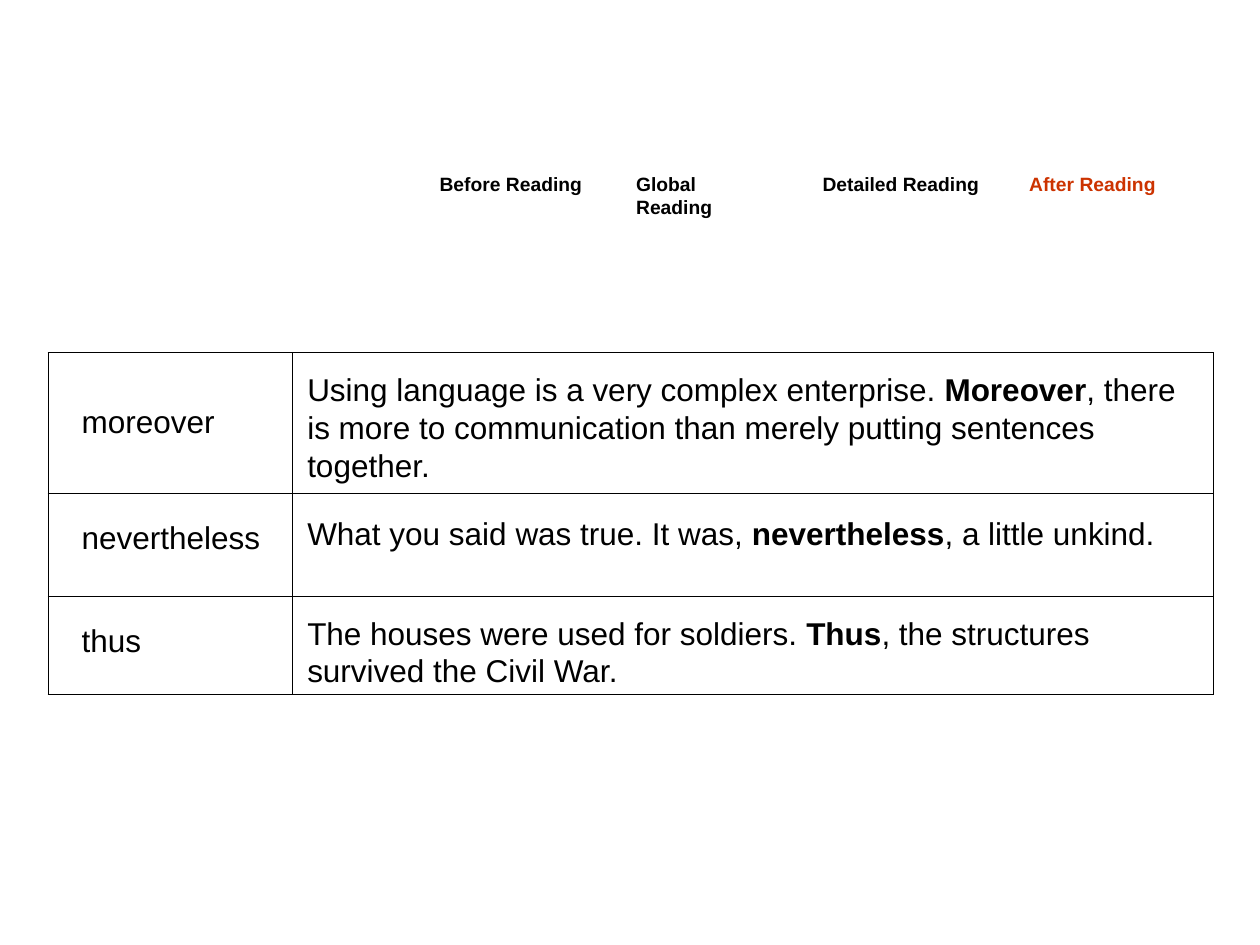
from lxml.etree import SubElement
from pptx import Presentation
from pptx.dml.color import RGBColor
from pptx.oxml.ns import qn
from pptx.util import Inches, Pt

BLACK = RGBColor(0x00, 0x00, 0x00)
ORANGE = RGBColor(0xCC, 0x33, 0x00)

presentation = Presentation()
presentation.slide_width = Inches(10)
presentation.slide_height = Inches(7.5)
slide = presentation.slides.add_slide(presentation.slide_layouts[6])


def from_percent(left, top, width, height):
    """Turn percentages of the slide's width and height into lengths."""
    slide_width, slide_height = presentation.slide_width, presentation.slide_height
    return (int(slide_width * left / 100), int(slide_height * top / 100),
            int(slide_width * width / 100), int(slide_height * height / 100))


def add_text(position, parts, size, color=BLACK):
    """Add a text box; parts are (text, bold) pairs."""
    text_frame = slide.shapes.add_textbox(*from_percent(*position)).text_frame
    text_frame.word_wrap = True
    for text, bold in parts:
        run = text_frame.paragraphs[0].add_run()
        run.text = text
        run.font.name = "Arial"
        run.font.size = Pt(size)
        run.font.bold = bold
        run.font.color.rgb = color


# Reading stages across the top
stages = [
    ("Before Reading", 33.9, 13.4, BLACK),
    ("Global Reading", 49.5, 13.2, BLACK),
    ("Detailed Reading", 64.3, 15.6, BLACK),
    ("After Reading", 80.7, 13.4, ORANGE),
]
for stage, left, width, color in stages:
    add_text((left, 17.6, width, 3.87), [(stage, True)], 11, color)

# Ruled table behind the words and examples
column_shares = [19.4, 73.1]
row_shares = [14.93, 10.8, 10.4]
table = slide.shapes.add_table(
    len(row_shares), len(column_shares),
    *from_percent(3.8, 37.33, sum(column_shares), sum(row_shares))).table
table.first_row = False
table.horz_banding = False
for column, share in zip(table.columns, column_shares):
    column.width = int(presentation.slide_width * share / 100)
for row, share in zip(table.rows, row_shares):
    row.height = int(presentation.slide_height * share / 100)

for cell in table.iter_cells():
    properties = cell._tc.get_or_add_tcPr()
    for side in ("a:lnL", "a:lnR", "a:lnT", "a:lnB"):
        border = SubElement(properties, qn(side), w=str(Pt(0.45)))
        fill = SubElement(border, qn("a:solidFill"))
        SubElement(fill, qn("a:srgbClr"), val=str(BLACK))
    cell.fill.background()

# Linking words: top and width, then the example's top, height and parts
entries = [
    ("moreover", 41.87, 13.2, 38.53, 13.33,
     ("Using language is a very complex enterprise. ", "Moreover",
      ", there is more to communication than merely putting sentences together.")),
    ("nevertheless", 54.13, 16.8, 53.73, 5.33,
     ("What you said was true. It was, ", "nevertheless", ", a little unkind.")),
    ("thus", 65.07, 7.4, 64.27, 9.33,
     ("The houses were used for soldiers. ", "Thus",
      ", the structures survived the Civil War.")),
]
for word, word_top, word_width, top, height, (before, linker, after) in entries:
    add_text((5.5, word_top, word_width, 5.33), [(word, False)], 18)
    add_text((23.4, top, 72.5, height),
             [(before, False), (linker, True), (after, False)], 18)

presentation.save("out.pptx")
